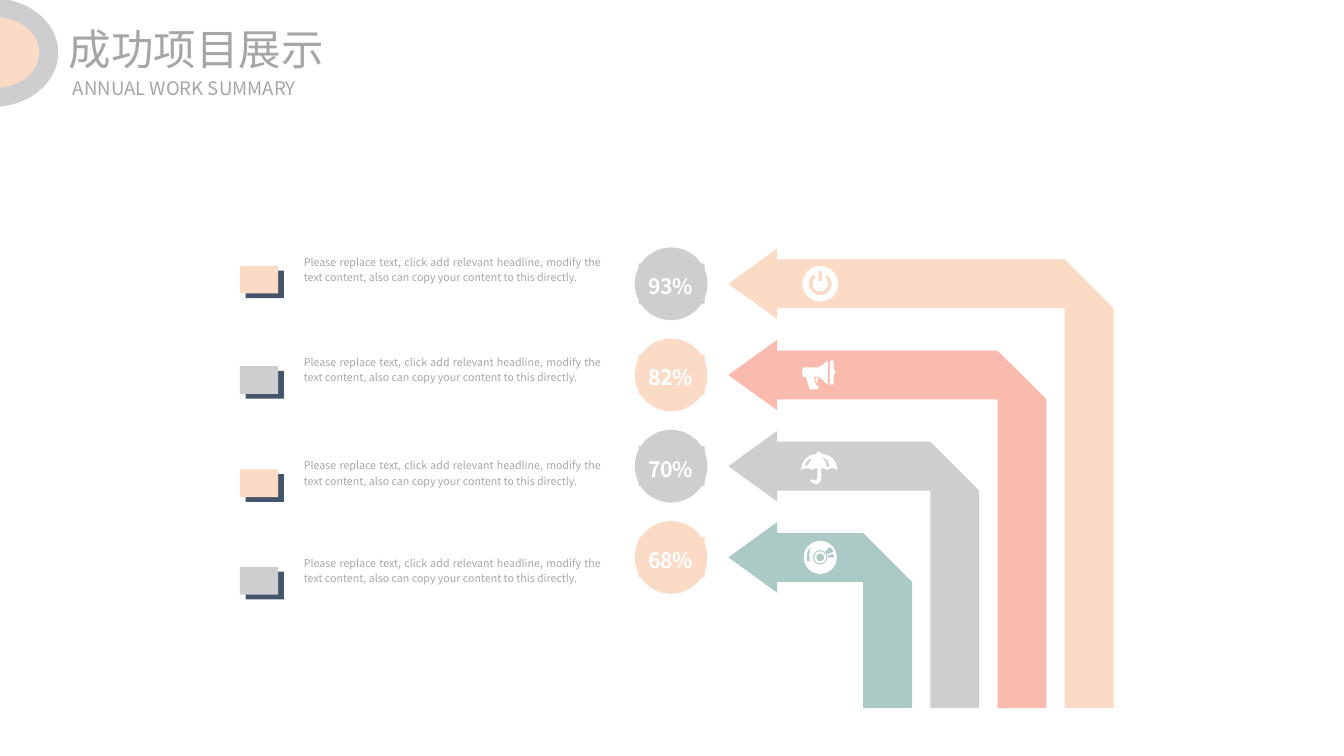
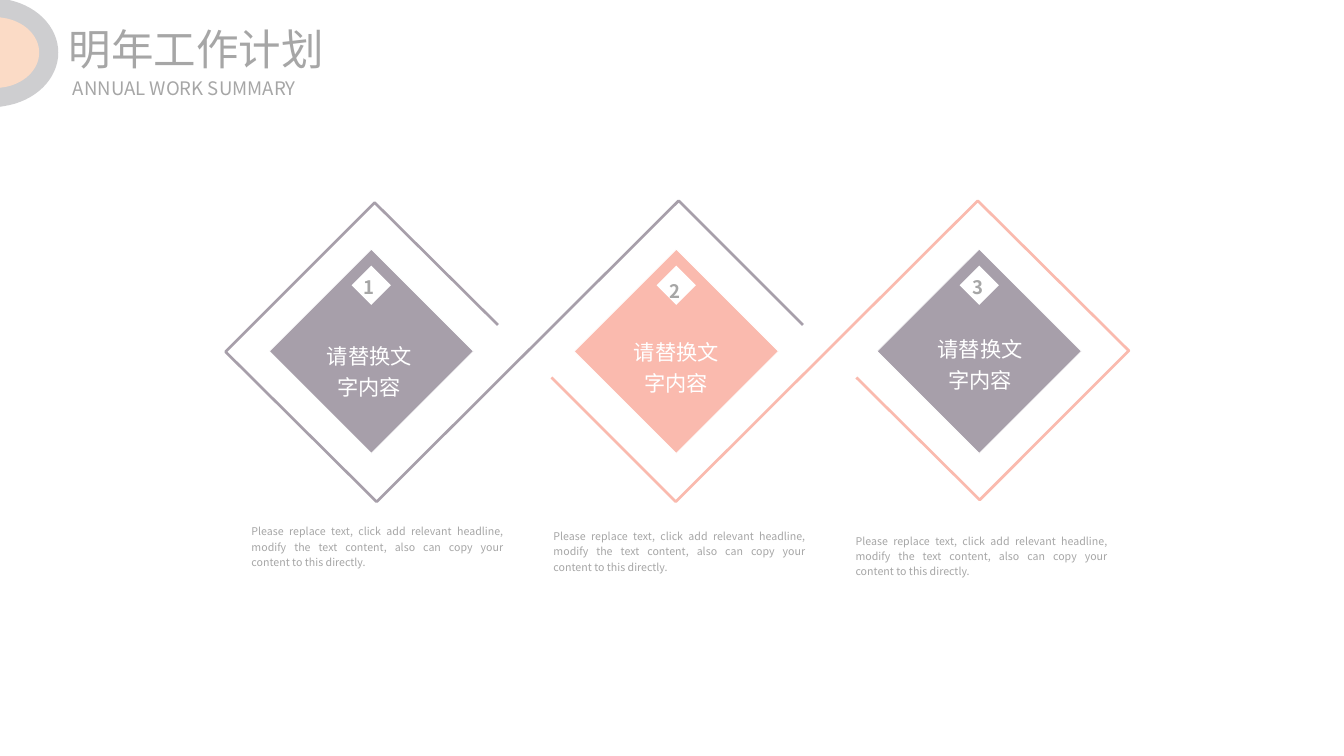
import math
import pptx
import pptx.util
import pptx.dml.color
import pptx.enum.shapes
import pptx.enum.text
from lxml import etree

Pt = pptx.util.Pt
Kind = pptx.enum.shapes.MSO_SHAPE
Align = pptx.enum.text.PP_ALIGN
Anchor = pptx.enum.text.MSO_ANCHOR


class Theme:
    font = "Noto Sans CJK SC"
    peach, grey, coral = "FBDBC6", "CECED0", "FABAAE"
    teal, mauve, navy = "ABCAC5", "A79FAA", "44546A"
    white, ink = "FFFFFF", "A6A6A6"
    title, sub, label, body = 32, 14, 16, 8
    lead = 1.2


# Content
SUB = "ANNUAL WORK SUMMARY"
BODY = ("Please replace text, click add relevant headline, modify the text "
        "content, also can copy your content to this directly.")
LABEL = "请替换文字内容"
# share, disc colour, arrow colour, top of the note
GOALS = [
    ("93%", Theme.grey, Theme.peach, 187.2),
    ("82%", Theme.peach, Theme.coral, 262.8),
    ("70%", Theme.grey, Theme.grey, 340.6),
    ("68%", Theme.peach, Theme.teal, 414),
]
# number, colour, centre x, number centre (x, y), label (x, y), note (x, y)
PLANS = [
    ("1", Theme.mauve, 279.7, (277.9, 214.6), (242.6, 254.9), (189.4, 393.8)),
    ("2", Theme.coral, 509.4, (508.3, 217.6), (473.8, 252), (416.9, 397.4)),
    ("3", Theme.mauve, 737.6, (736.6, 214.6), (702.7, 249.8), (644.4, 401)),
]
ZIGZAG = [(604.8, 244.8), (511.2, 151.2), (283.7, 378),
          (169.9, 265), (282.2, 152.6), (375.1, 244.8)]


# Drawing helpers
def rgb(hue):
    return pptx.dml.color.RGBColor.from_string(hue)


def paint(shape, fill=None, line=None, width=1):
    shape.shadow.inherit = False
    if fill:
        shape.fill.solid()
        shape.fill.fore_color.rgb = rgb(fill)
    else:
        shape.fill.background()
    if line:
        shape.line.color.rgb = rgb(line)
        shape.line.width = Pt(width)
    else:
        shape.line.fill.background()
    return shape


def block(slide, kind, x, y, w, h, fill, line=None, width=1):
    shape = slide.shapes.add_shape(kind, Pt(x), Pt(y), Pt(w), Pt(h))
    return paint(shape, fill, line, width)


def outline(slide, loops, fill=None, line=None, width=1, close=True):
    loops = [[(Pt(x), Pt(y)) for x, y in loop] for loop in loops]
    pen = slide.shapes.build_freeform(*loops[0][0])
    for i, loop in enumerate(loops):
        if i:
            pen.move_to(*loop[0])
        pen.add_line_segments(loop[1:], close=close)
    return paint(pen.convert_to_shape(), fill, line, width)


def write(shape, text, size, hue, align=None, lead=None, bold=False,
          inset=True, wrap=True, anchor=Anchor.TOP):
    frame = shape.text_frame
    frame.text = text
    frame.word_wrap = wrap
    frame.vertical_anchor = anchor
    if not inset:
        frame.margin_left = frame.margin_right = 0
        frame.margin_top = frame.margin_bottom = 0
    para = frame.paragraphs[0]
    para.alignment = align
    para.line_spacing = lead
    font = para.runs[0].font
    font.size, font.bold, font.name = Pt(size), bold, Theme.font
    font.color.rgb = rgb(hue)
    # East Asian face, placed right after the Latin one
    latin = font._element.find("{*}latin")
    east = etree.Element(latin.tag.replace("latin", "ea"))
    east.set("typeface", Theme.font)
    latin.addnext(east)


def label(slide, x, y, w, h, text, size, hue=Theme.ink, **style):
    box = slide.shapes.add_textbox(Pt(x), Pt(y), Pt(w), Pt(h))
    write(box, text, size, hue, **style)


def arc(r, start=0, stop=360, rx=None, step=5):
    rx = rx or r
    turn = step if stop > start else -step
    angles = [math.radians(a) for a in range(start, stop + turn, turn)]
    return [(rx * math.cos(a), r * math.sin(a)) for a in angles]


def shift(loop, dx, dy):
    return [(x + dx, y + dy) for x, y in loop]


# Icons, as loops around their own centre
POWER = [
    arc(13.4),
    [(-1.4, -9.4), (1.4, -9.4), (1.4, -2.2), (-1.4, -2.2)],
    arc(8.6, -55, 235) + arc(5.8, 235, -55),
]
HORN = [
    [(-13, -5.8), (-1.4, -5.8), (0, -6.5), (5.8, -10.8), (5.8, 7.2),
     (0, 2.2), (-1.4, 1.4), (-5, 1.4), (-2.9, 7.9), (-1.4, 7.9),
     (-1.4, 10.8), (-7.9, 10.8), (-10.8, 1.4), (-13, 1.4), (-13.7, -2.2)],
    [(7.2, -10.8), (10.1, -10.8), (10.1, -5), (11.5, -2.2), (10.1, 0.7),
     (10.1, 7.2), (7.2, 7.2)],
    [(-1.4, 2.2), (-3.6, 2.2), (-2.9, 5.8), (-2.2, 5.8), (-2.2, 4.3)],
]
BROLLY = [
    [(-2.2, 1.4), (-4.5, 1.8), (-6.5, 2.9), (-8.5, 1.9), (-10.4, 1.6),
     (-12.4, 1.9), (-14.4, 2.9), (-13.5, -1.6), (-11.3, -5.4), (-7.6, -8.2),
     (-2.9, -9.4), (-2.2, -10.8), (0, -10.8), (0.7, -9.4), (6.2, -8.2),
     (9.9, -5.4), (12.1, -1.6), (13, 2.9), (11, 1.9), (9, 1.6), (7.1, 1.9),
     (5, 2.9), (3, 1.8), (0.7, 1.4), (0.7, 9.4), (0.3, 11.5), (-1.4, 13),
     (-3, 13.7), (-5, 13), (-7.2, 11.5), (-7.9, 10.1), (-5, 10.1),
     (-4.3, 10.8), (-3.6, 10.8), (-2.9, 10.1), (-2.2, 9.4)],
    [(5, 0.7), (7.2, 0), (5.2, -4.8), (0.7, -7.2), (4, -3.5)],
    [(-12.2, 0), (-9.4, -0.7), (-5.8, -6.5), (-10, -4)],
]
DISC = [
    arc(12.4), arc(5.4), arc(4.5), arc(2.9),
    [(-7.2, -7.9), (-9.8, -4), (-10.1, 2.9), (-7.9, 2.9), (-8.3, -2)],
    [(3.6, -4.3), (7.2, -7.9), (9.4, -5.8), (10.1, -4.3), (5, -2.2)],
    [(5.8, -1.4), (10.1, -2.9), (10.3, 0), (5.8, 0)],
]
ICONS = [POWER, HORN, BROLLY, DISC]


# Shared heading
def start(deck, title):
    slide = deck.slides.add_slide(deck.slide_layouts[6])
    style = dict(inset=False, anchor=Anchor.MIDDLE)
    label(slide, 51.8, 17.3, 311, 39, title, Theme.title, **style)
    label(slide, 55, 57.6, 221, 17.3, SUB, Theme.sub, **style)
    for x, rx, ry, hue in [(-6, 49.9, 41, Theme.grey),
                           (-3.6, 33.1, 26.6, Theme.peach)]:
        half = shift(arc(ry, -90, 90, rx), x, 39.6)
        outline(slide, [[(max(0, px), py) for px, py in half]], hue)
    return slide


# Slide 1: bent arrows with shares and notes
def goals(deck):
    slide = start(deck, "成功项目展示")
    tip, neck, foot, head, band = 548.6, 585.4, 533.5, 26.6, 18.4
    for i, (share, disc, hue, top) in enumerate(GOALS):
        mid, edge = 213.8 + 68.7 * i, 838.8 - 50.6 * i
        inner = edge - 2 * band
        outline(slide, [[
            (tip, mid), (neck, mid - head), (neck, mid - band),
            (inner, mid - band), (edge, mid + band), (edge, foot),
            (inner, foot), (inner, mid + band), (neck, mid + band),
            (neck, mid + head)]], hue)
        outline(slide, [shift(p, 617.8, mid) for p in ICONS[i]], Theme.white)

        block(slide, Kind.OVAL, 478.1, mid - 27.4, 54.8, 54.8, disc)
        plate = block(slide, Kind.RECTANGLE, 481, mid - 15.1, 49.7, 30, disc)
        write(plate, share, Theme.label, Theme.white, Align.JUSTIFY,
              Theme.lead, bold=True, wrap=False)

        block(slide, Kind.RECTANGLE, 185, top + 16.6, 28.8, 20.9, Theme.navy)
        block(slide, Kind.RECTANGLE, 180.7, top + 13, 28.8, 20.9,
              (Theme.peach, Theme.grey)[i % 2])
        label(slide, 221.8, top, 238.3, 30.2, BODY, Theme.body,
              align=Align.JUSTIFY, lead=Theme.lead)


# Slide 2: three diamonds on two interlocking lines
def plans(deck):
    slide = start(deck, "明年工作计划")
    turned = [(1020.2 - x, 529.2 - y) for x, y in ZIGZAG]
    for path, hue in [(ZIGZAG, Theme.mauve), (turned, Theme.coral)]:
        outline(slide, [path], line=hue, width=2, close=False)
    for num, hue, mid, spot, name, note in PLANS:
        for side, y, fill, rim in [(108.7, 264.6, hue, Theme.white),
                                   (20.9, 214.9, Theme.white, None)]:
            gem = block(slide, Kind.RECTANGLE, mid - side / 2, y - side / 2,
                        side, side, fill, rim, 0.5)
            gem.rotation = 315
        label(slide, spot[0] - 4.3, spot[1] - 9.4, 8.6, 18.8, num, Theme.sub,
              align=Align.CENTER, lead=Theme.lead, bold=True, inset=False,
              wrap=False, anchor=Anchor.MIDDLE)
        label(slide, *name, 71, 44.6, LABEL, Theme.label, Theme.white,
              align=Align.CENTER, lead=Theme.lead, inset=False)
        label(slide, *note, 190, 34.6, BODY, Theme.body,
              align=Align.JUSTIFY, lead=Theme.lead, inset=False)


def main():
    deck = pptx.Presentation()
    deck.slide_width, deck.slide_height = Pt(1012.3), Pt(569.5)
    goals(deck)
    plans(deck)
    deck.save("out.pptx")


if __name__ == "__main__":
    main()
